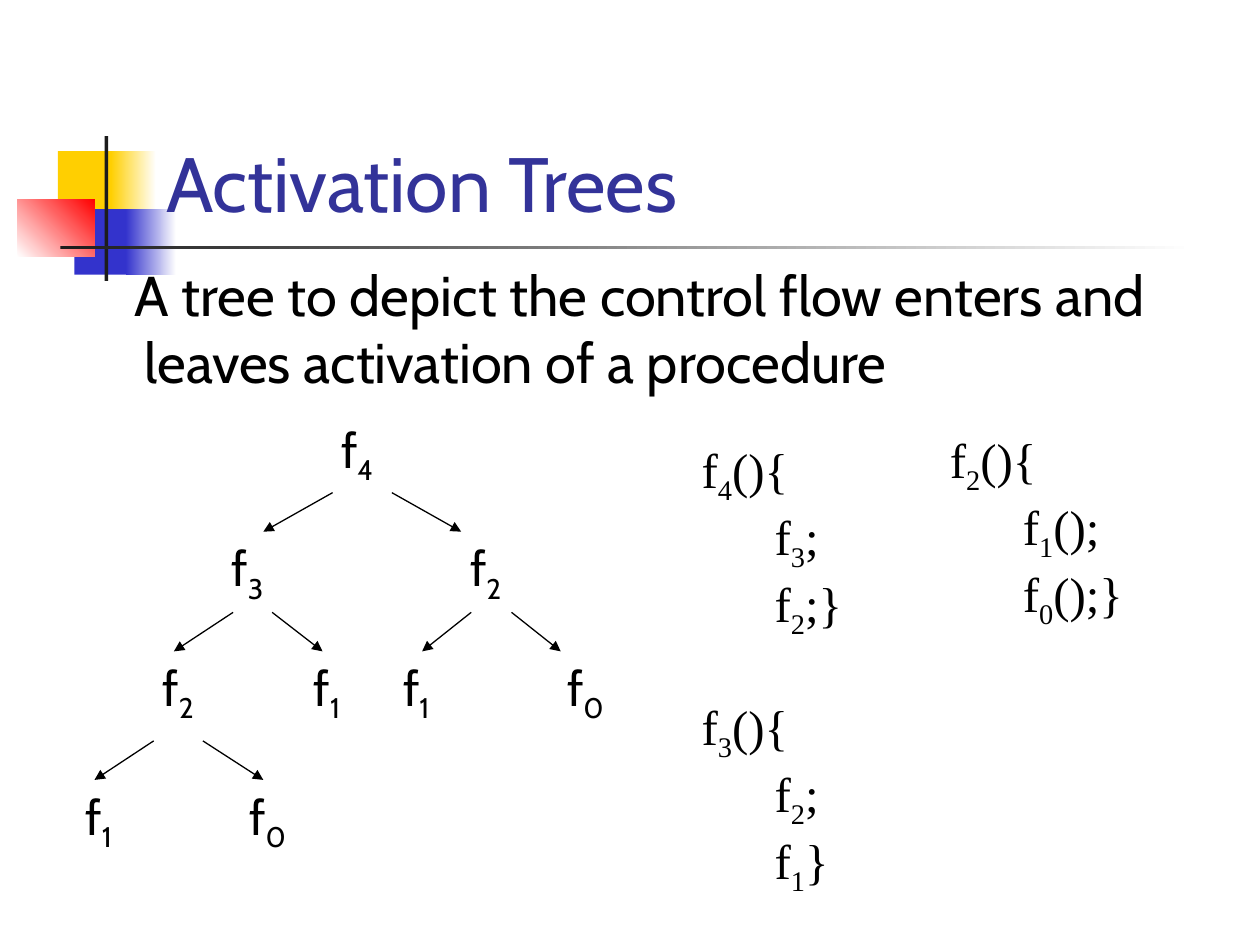
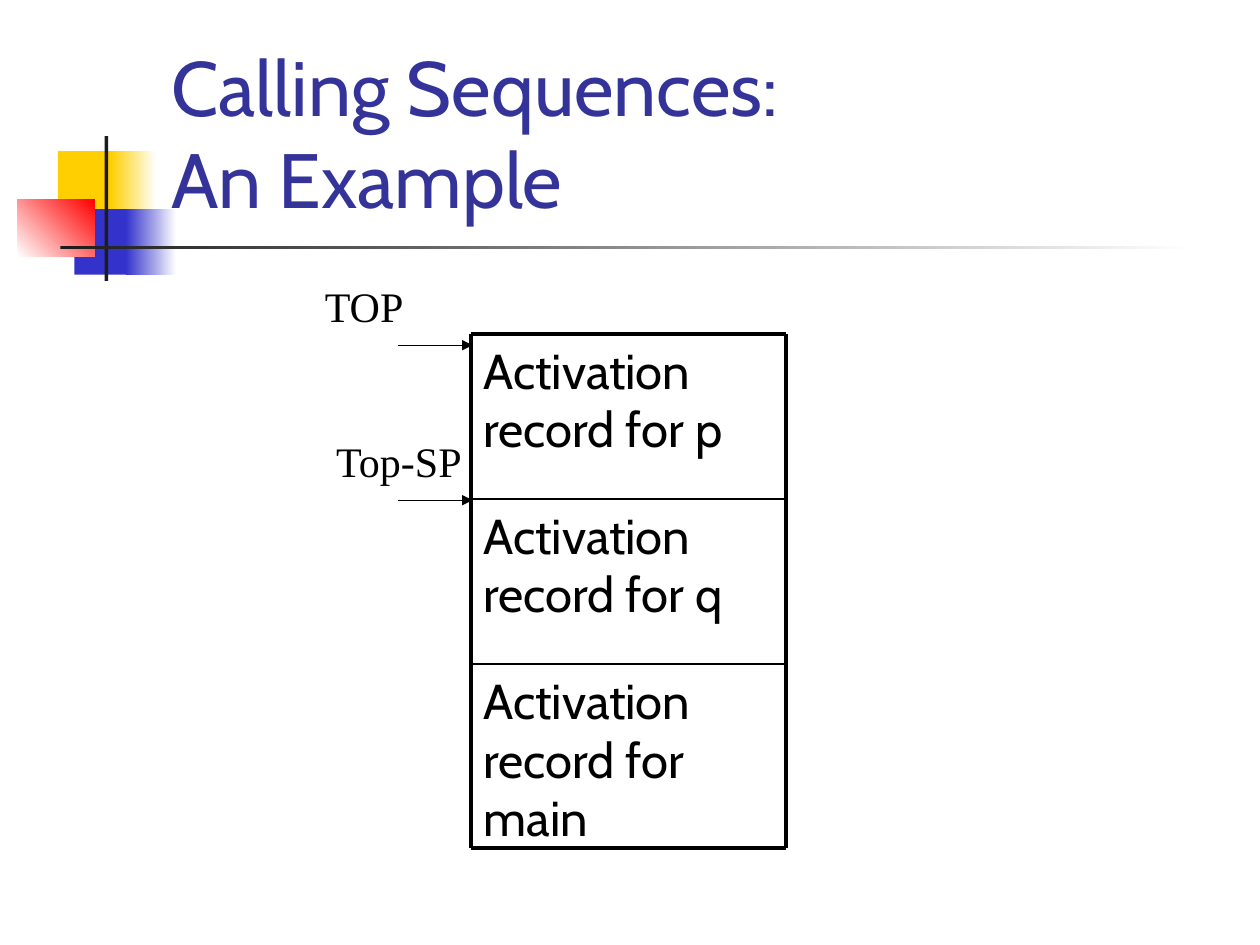
from lxml import etree
from pptx import Presentation
from pptx import util as u
from pptx.dml.color import RGBColor
from pptx.enum import shapes, text
from pptx.oxml import ns

# Shared style
YELLOW = RGBColor(0xFF, 0xCF, 0x01)
BLUE = RGBColor(0x33, 0x33, 0xCC)
RED = RGBColor(0xFF, 0x00, 0x00)
WHITE = RGBColor(0xFF, 0xFF, 0xFF)
CHARCOAL = RGBColor(0x1C, 0x1C, 0x1C)
BLACK = RGBColor(0, 0, 0)
TITLE_COLOR = RGBColor(0x33, 0x33, 0x99)
SANS, SERIF = "Cabin", "Times New Roman"
TITLE_FORMAT = dict(name=SANS, size=u.Pt(44), color=TITLE_COLOR)
BODY_FORMAT = dict(name=SANS, size=u.Pt(32), color=BLACK)
NODE_FORMAT = dict(name=SANS, size=u.Pt(28), color=BLACK)
CODE_FORMAT = dict(name=SERIF, size=u.Pt(28), color=BLACK)
LABEL_FORMAT = dict(name=SERIF, size=u.Pt(24), color=BLACK)
MARGINS = (0.1, 0.05)

# Title ornament: box, start colour, end colour (None is solid), angle
ORNAMENT = [
    ((0.46, 1.2, 0.48, 0.52), YELLOW, None, 0),
    ((0.88, 1.2, 0.36, 0.52), YELLOW, WHITE, 0),
    ((0.59, 1.66, 0.46, 0.52), BLUE, None, 0),
    ((1, 1.66, 0.4, 0.52), BLUE, WHITE, 0),
    ((0.14, 1.58, 0.61, 0.46), WHITE, RED, 45),
    ((0.83, 1.08, 0.03, 1.15), CHARCOAL, None, 0),
    ((0.48, 1.95, 9, 0.03), CHARCOAL, WHITE, 0),
]

# Slide 1 content; in a tuple every second part is a subscript
TREE_TITLE = "Activation Trees"
TREE_TEXT = ("A tree to depict the control flow enters and "
             "leaves activation of a procedure")
F4_CODE = [("f", "4", "(){"), ("f", "3", ";"), ("f", "2", ";}")]
F3_CODE = [("f", "3", "(){"), ("f", "2", ";"), ("f", "1", "}")]
F2_CODE = [("f", "2", "(){"), ("f", "1", "();"), ("f", "0", "();}")]
CODE_COLUMNS = [
    ((5.47, 3.44, 1.73, 4.22), F4_CODE + F3_CODE),
    ((7.44, 3.36, 1.73, 1.7), F2_CODE),
]
# Each level: top, nodes (subscript, left), arrows down (from x, to x)
TREE_LEVELS = [
    (3.36, [("4", 2.48)], [(2.64, 2.09), (3.11, 3.66)]),
    (4.3, [("3", 1.61), ("2", 3.5)],
     [(1.85, 1.38), (2.16, 2.56), (3.74, 3.35), (4.06, 4.45)]),
    (5.25, [("2", 1.06), ("1", 2.24), ("1", 2.95), ("0", 4.29)],
     [(1.22, 0.75), (1.61, 2.09)]),
    (6.27, [("1", 0.43), ("0", 1.77)], []),
]
NODE_WIDTH, NODE_HEIGHT = 0.71, 0.47
ARROW_HEIGHT, ARROW_GAP = 0.31, 0.08

# Slide 2 content
CALL_TITLE = "Calling Sequences:\vAn Example"
RECORDS = ["Activation record for p", "Activation record for q",
           "Activation record for main"]
RECORD_EDGES = [2.65, 3.96, 5.27, 6.73]
STACK_LEFT, STACK_RIGHT = 3.74, 6.24
# Pointer: label, label box, arrow height on the slide
POINTERS = [("TOP", (2.48, 2.18, 0.83, 0.5), 2.74),
            ("Top-SP", (2.57, 3.41, 1.22, 0.5), 3.97)]


def inches(values):
    return [u.Inches(value) for value in values]


def add_text(parent, box, lines, style, anchor=text.MSO_ANCHOR.TOP,
             margins=MARGINS, wrap=True, **paragraph_format):
    """Add a text box; a line is a string or a tuple with subscripts."""
    shape = parent.add_textbox(*inches(box))
    frame = shape.text_frame
    frame.word_wrap = wrap
    frame.vertical_anchor = anchor
    frame.margin_left = frame.margin_right = u.Inches(margins[0])
    frame.margin_top = frame.margin_bottom = u.Inches(margins[1])
    for index, line in enumerate(lines):
        paragraph = frame.add_paragraph() if index else frame.paragraphs[0]
        if isinstance(line, str):
            paragraph.text = line
        else:
            for position, part in enumerate(line):
                run = paragraph.add_run()
                run.text = part
                if position % 2:
                    run._r.get_or_add_rPr().set("baseline", "-25000")
        for key, value in paragraph_format.items():
            setattr(paragraph, key, value)
        for run in paragraph.runs:
            for key, value in style.items():
                if key == "color":
                    run.font.color.rgb = value
                else:
                    setattr(run.font, key, value)
    return frame.paragraphs


def indent(paragraph, left, first=0):
    properties = paragraph._p.get_or_add_pPr()
    properties.set("marL", str(u.Inches(left)))
    properties.set("indent", str(u.Inches(first)))


def add_line(parent, start, end, width, arrow=False):
    line = parent.add_connector(shapes.MSO_CONNECTOR.STRAIGHT,
                                *inches(start + end))
    line.line.color.rgb = BLACK
    line.line.width = u.Pt(width)
    if arrow:
        outline = line.line._get_or_add_ln()
        etree.SubElement(outline, ns.qn("a:tailEnd"), type="triangle")
    etree.SubElement(line._element.spPr, ns.qn("a:effectLst"))


def add_slide(presentation, title, title_box):
    """Add a slide with the shared ornament and title style."""
    slide = presentation.slides.add_slide(presentation.slide_layouts[6])
    for box, start, end, angle in ORNAMENT:
        shape = slide.shapes.add_shape(shapes.MSO_SHAPE.RECTANGLE, *inches(box))
        shape.shadow.inherit = False
        shape.line.fill.background()
        if end is None:
            shape.fill.solid()
            shape.fill.fore_color.rgb = start
        else:
            shape.fill.gradient()
            shape.fill.gradient_angle = angle
            for stop, color in zip(shape.fill.gradient_stops, (start, end)):
                stop.color.rgb = color
    add_text(slide.shapes, title_box, [title], TITLE_FORMAT,
             text.MSO_ANCHOR.BOTTOM)
    return slide


presentation = Presentation()
presentation.slide_width, presentation.slide_height = inches((10, 7.5))

# Slide 1: activation tree
slide = add_slide(presentation, TREE_TITLE, (1.22, 0.6, 8.52, 1.26))
body = add_text(slide.shapes, (0.67, 2.02, 9, 1.18), [TREE_TEXT], BODY_FORMAT,
                space_before=u.Pt(8))
indent(body[0], 0.38, -0.08)

for box, lines in CODE_COLUMNS:
    paragraphs = add_text(slide.shapes, box, lines, CODE_FORMAT)
    for index, paragraph in enumerate(paragraphs):
        if index % 3:
            indent(paragraph, 0.58)
        elif index:
            paragraph.space_before = u.Pt(32)

for top, nodes, _ in TREE_LEVELS:
    for subscript, left in nodes:
        add_text(slide.shapes, (left, top, NODE_WIDTH, NODE_HEIGHT),
                 [("f", subscript)], NODE_FORMAT, text.MSO_ANCHOR.MIDDLE,
                 margins=(0, 0), wrap=False, alignment=text.PP_ALIGN.CENTER)
for (_, _, arrows), (next_top, _, _) in zip(TREE_LEVELS, TREE_LEVELS[1:]):
    tip = next_top - ARROW_GAP
    for start_x, end_x in arrows:
        add_line(slide.shapes, (start_x, tip - ARROW_HEIGHT), (end_x, tip),
                 0.74, arrow=True)

# Slide 2: stack of activation records
slide = add_slide(presentation, CALL_TITLE, (1.26, 0.23, 8.52, 1.6))
stack = slide.shapes.add_group_shape().shapes
for record, top, bottom in zip(RECORDS, RECORD_EDGES, RECORD_EDGES[1:]):
    add_text(stack, (STACK_LEFT, top, STACK_RIGHT - STACK_LEFT, bottom - top),
             [record], NODE_FORMAT, space_before=u.Pt(7))
stack_top, stack_bottom = RECORD_EDGES[0], RECORD_EDGES[-1]
for y in RECORD_EDGES:
    width = 2.24 if y in (stack_top, stack_bottom) else 0.99
    add_line(stack, (STACK_LEFT, y), (STACK_RIGHT, y), width)
for x in (STACK_LEFT, STACK_RIGHT):
    add_line(stack, (x, stack_top), (x, stack_bottom), 2.24)

# Stack pointers
for label, box, y in POINTERS:
    add_line(slide.shapes, (3.16, y), (3.75, y), 0.74, arrow=True)
    add_text(slide.shapes, box, [label], LABEL_FORMAT, wrap=False)

presentation.save("out.pptx")
